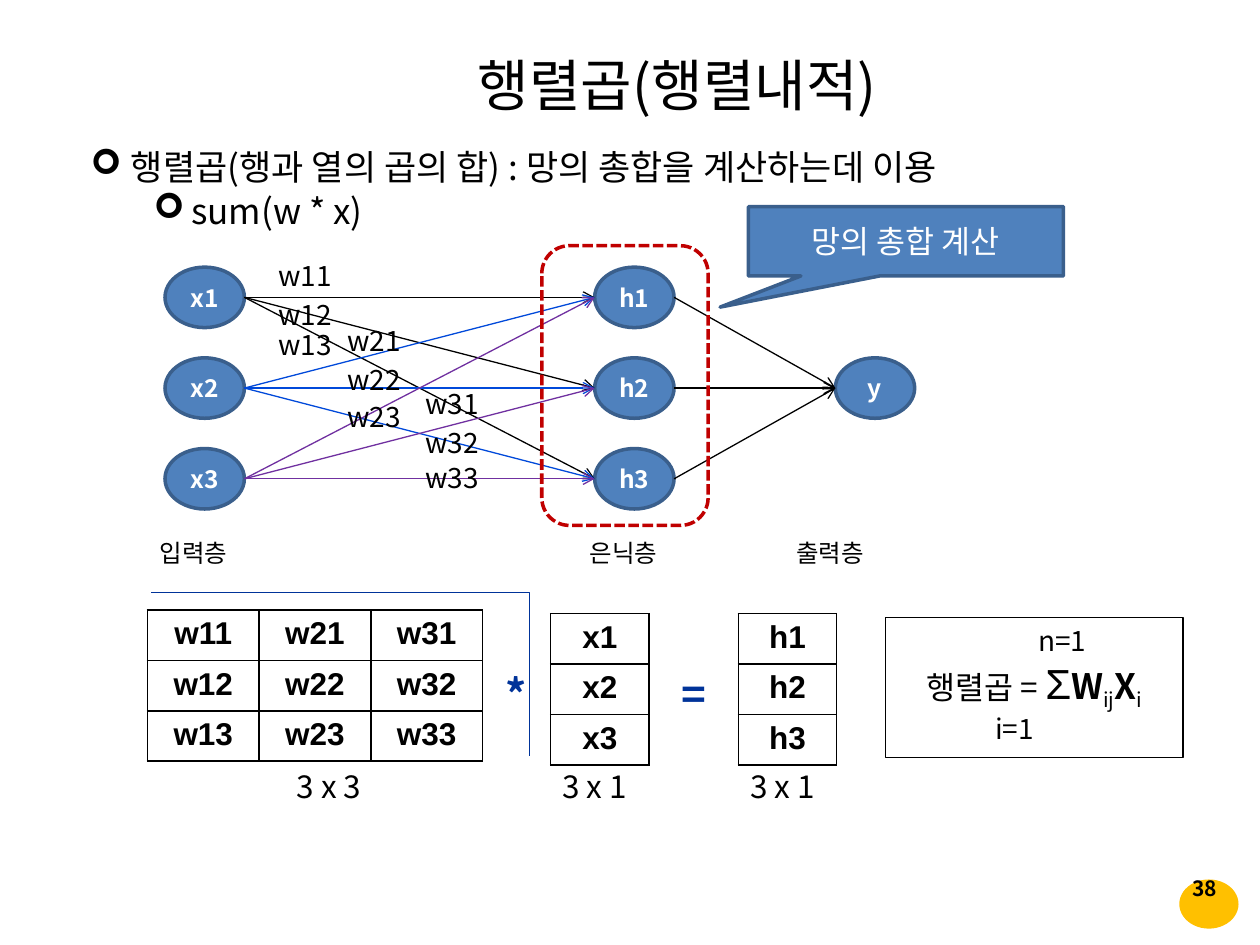
from itertools import product

from lxml.etree import SubElement
from pptx import Presentation
from pptx.dml.color import RGBColor
from pptx.enum.dml import MSO_LINE
from pptx.enum.shapes import MSO_CONNECTOR as Connector, MSO_SHAPE as Shape
from pptx.enum.text import MSO_ANCHOR as Anchor, PP_ALIGN as Align
from pptx.oxml import parse_xml
from pptx.oxml.ns import nsdecls, qn
from pptx.util import Inches, Pt

UNIT = Inches(0.1)
FONT = "Noto Sans CJK KR"
BLACK, WHITE = "000000", "FFFFFF"
BLUE, NAVY, EDGE = "4F81BD", "003399", "3A5F8C"


def color(hex_text):
    return RGBColor.from_string(hex_text)


def grid(*lengths):
    return [round(length * UNIT) for length in lengths]


def add_text(paragraph, text, size=18, ink=BLACK, bold=False, font=FONT, baseline=0):
    run = paragraph.add_run()
    run.text = text
    run.font.size = Pt(size)
    run.font.bold = bold
    run.font.color.rgb = color(ink)
    run.font.name = font
    properties = run._r.get_or_add_rPr()
    SubElement(properties, qn("a:ea"), typeface=font)
    if baseline:
        properties.set("baseline", str(baseline))


def indent(paragraph, left, first=0):
    properties = paragraph._p.get_or_add_pPr()
    left, first = grid(left, first)
    properties.set("marL", str(left))
    properties.set("indent", str(first))
    return properties


class Board:
    def __init__(self, slide):
        self.slide = slide

    def frame(self, shape, anchor=Anchor.TOP):
        frame = shape.text_frame
        frame.word_wrap = True
        frame.vertical_anchor = anchor
        return frame

    def label(self, text, x, y, width, height, align=Align.LEFT, anchor=Anchor.TOP, **style):
        box = self.slide.shapes.add_textbox(*grid(x, y, width, height))
        paragraph = self.frame(box, anchor).paragraphs[0]
        paragraph.alignment = align
        add_text(paragraph, text, **style)

    def bullets(self, x, y, width, height, items):
        box = self.slide.shapes.add_textbox(*grid(x, y, width, height))
        frame = self.frame(box)
        for index, (left, hang, text) in enumerate(items):
            paragraph = frame.add_paragraph() if index else frame.paragraphs[0]
            properties = indent(paragraph, left, -hang)
            SubElement(properties, qn("a:buFont"), typeface="Wingdings")
            SubElement(properties, qn("a:buChar"), char="➢")
            paragraph.line_spacing = Pt(25)
            add_text(paragraph, text, size=20)

    def shape(self, kind, x, y, width, height, fill=None, line=None, weight=2, text="", **style):
        shape = self.slide.shapes.add_shape(kind, *grid(x, y, width, height))
        self.paint(shape, fill, line, weight)
        if text:
            paragraph = self.frame(shape, Anchor.MIDDLE).paragraphs[0]
            paragraph.alignment = Align.CENTER
            add_text(paragraph, text, ink=WHITE, **style)
        return shape

    def paint(self, shape, fill, line, weight):
        shape.shadow.inherit = False
        if fill:
            shape.fill.solid()
            shape.fill.fore_color.rgb = color(fill)
        else:
            shape.fill.background()
        if line:
            shape.line.color.rgb = color(line)
            shape.line.width = Pt(weight)
        else:
            shape.line.fill.background()

    def node(self, text, x, y):
        self.shape(Shape.OVAL, x, y, 6.3, 4.8, BLUE, EDGE, text=text, size=14, bold=True)

    def arrow(self, start, end, ink):
        ends = grid(*start, *end)
        connector = self.slide.shapes.add_connector(Connector.STRAIGHT, *ends)
        connector.line.color.rgb = color(ink)
        connector.line.width = Pt(0.75)
        properties = connector._element.spPr
        SubElement(properties.find(qn("a:ln")), qn("a:tailEnd"), type="arrow")
        SubElement(properties, qn("a:effectLst"))

    def path_line(self, points, ink):
        start, *rest = points
        builder = self.slide.shapes.build_freeform(*start, scale=UNIT)
        builder.add_line_segments(rest, close=False)
        self.paint(builder.convert_to_shape(), None, ink, 0.75)

    def matrix(self, rows, x, y, column_width, row_height=4):
        count, columns = len(rows), len(rows[0])
        size = grid(x, y, column_width * columns, row_height * count)
        table = self.slide.shapes.add_table(count, columns, *size).table
        table.first_row = table.horz_banding = False
        for row, column in product(range(count), range(columns)):
            cell = table.cell(row, column)
            cell.fill.background()
            for index, side in enumerate("LRTB"):
                border = parse_xml(
                    f'<a:ln{side} {nsdecls("a")} w="12700"><a:solidFill>'
                    f'<a:srgbClr val="{BLACK}"/></a:solidFill></a:ln{side}>'
                )
                cell._tc.get_or_add_tcPr().insert(index, border)
            paragraph = cell.text_frame.paragraphs[0]
            paragraph.alignment = Align.CENTER
            add_text(paragraph, rows[row][column], bold=True, font="Arial")

    def formula(self, x, y, width, height):
        box = self.shape(Shape.RECTANGLE, x, y, width, height, line=BLACK, weight=0.75)
        frame = self.frame(box)
        upper, middle, lower = frame.paragraphs[0], frame.add_paragraph(), frame.add_paragraph()
        upper.alignment = middle.alignment = Align.CENTER
        lower.alignment = Align.LEFT
        indent(upper, 4.4)
        add_text(upper, "n=1", size=16)
        add_text(middle, "행렬곱 = ")
        add_text(middle, "Σ", size=24, font="Arial")
        for symbol, subscript in (("W", "ij"), ("X", "i")):
            add_text(middle, symbol, size=20, bold=True)
            add_text(middle, subscript, size=20, baseline=-25000)
        indent(lower, 7.7)
        add_text(lower, "i=1", size=16)


def main():
    presentation = Presentation()
    presentation.slide_width, presentation.slide_height = grid(100, 75)
    board = Board(presentation.slides.add_slide(presentation.slide_layouts[6]))

    board.bullets(6.2, 10.9, 88.2, 8, [
        (3.2, 3.2, "행렬곱(행과 열의 곱의 합) : 망의 총합을 계산하는데 이용"),
        (8, 3, "sum(w * x)"),
    ])
    board.label("행렬곱(행렬내적)", 12.2, 2.9, 83.1, 7.5, Align.CENTER, Anchor.MIDDLE, size=32)
    board.shape(Shape.OVAL, 93.6, 69.8, 4.7, 3.9, "FFC000")
    board.label("38", 91.2, 69, 8.8, 2.9, Align.CENTER, Anchor.MIDDLE, size=12, bold=True)

    tops = [21.2 + 7.2 * index for index in range(3)]
    centers = [top + 2.4 for top in tops]
    for letter, x in (("x", 13.1), ("h", 47.2)):
        for index, top in enumerate(tops, 1):
            board.node(f"{letter}{index}", x, top)
    board.node("y", 66.3, tops[1])
    for center, ink in zip(centers, (BLACK, "0049DA", "7030A0")):
        for target in centers:
            board.arrow((19.4, center), (47.2, target), ink)
        board.arrow((53.5, center), (66.3, centers[1]), BLACK)
    for text, x in (("입력층", 11.7), ("은닉층", 45.8), ("출력층", 62.2)):
        board.label(text, x, 42.2, 10.5, 3.4, size=14)
    hidden = board.shape(Shape.ROUNDED_RECTANGLE, 43, 19.5, 13.2, 22.2, line="C00000")
    hidden.line.dash_style = MSO_LINE.SQUARE_DOT

    board.matrix([[f"w{column}{row}" for column in (1, 2, 3)] for row in (1, 2, 3)], 11.7, 48.4, 8.87)
    for letter, x in (("x", 43.7), ("h", 58.6)):
        board.matrix([[f"{letter}{row}"] for row in (1, 2, 3)], x, 48.7, 7.8)
    for sign, x in (("*", 39.1), ("=", 53.1)):
        board.label(sign, x, 52.6, 3.1, 5, size=24, ink=NAVY, bold=True)
    board.path_line([(11.5, 47), (42.5, 47), (42.4, 60.5)], NAVY)
    for text, x in (("3 x 3", 18.7), ("3 x 1", 39.8), ("3 x 1", 54.7)):
        board.label(text, x, 60.4, 14.8, 4, Align.CENTER)
    board.formula(70.3, 49, 23.6, 11.1)

    weights = ((21.1, (20, 23.1, 25.5)), (26.6, (25.2, 28.3, 31.2)), (32.8, (30.2, 33.3, 36.1)))
    for source, (x, heights) in enumerate(weights, 1):
        for target, y in enumerate(heights, 1):
            board.label(f"w{source}{target}", x, y, 7, 3.7, size=16)
    callout = board.shape(Shape.RECTANGULAR_CALLOUT, 59.4, 16.4, 25, 5.5, BLUE, EDGE, text="망의 총합 계산")
    callout.adjustments[0], callout.adjustments[1] = -0.59, 0.95

    presentation.save("out.pptx")


if __name__ == "__main__":
    main()
